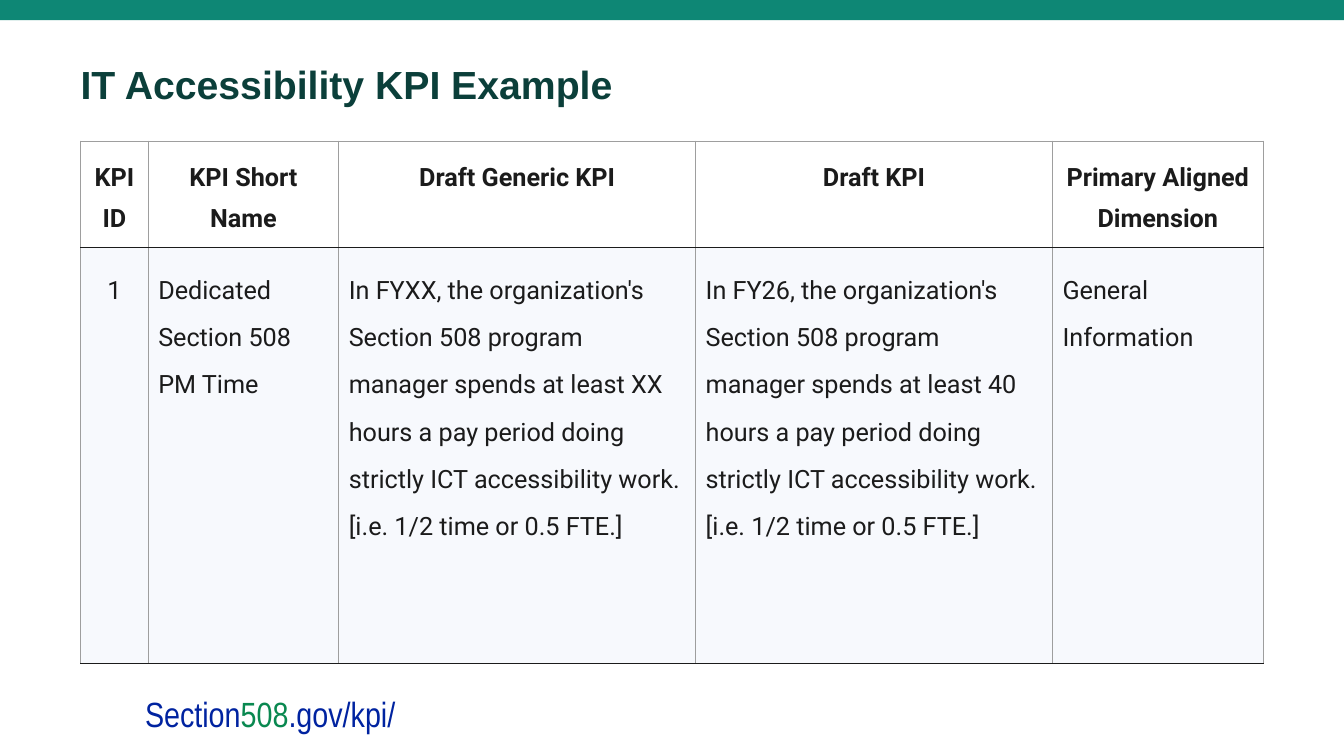
from lxml.etree import SubElement
from pptx import Presentation
from pptx.dml.color import RGBColor
from pptx.enum.shapes import MSO_SHAPE as Shape
from pptx.enum.text import MSO_ANCHOR as Anchor, PP_ALIGN as Align
from pptx.oxml.ns import qn
from pptx.util import Inches, Pt

WIDTH, HEIGHT = 13.33, 7.5
MARGIN = 0.8
TEAL = RGBColor(0x0E, 0x87, 0x75)
DARK_TEAL = RGBColor(0x0B, 0x3F, 0x3A)
INK = RGBColor(0x1B, 0x1B, 0x1B)
GRAY = RGBColor(0x9E, 0x9E, 0x9E)
PALE_BLUE = RGBColor(0xF7, 0xF9, 0xFD)
LINK_BLUE = RGBColor(0x00, 0x23, 0xA0)
LINK_GREEN = RGBColor(0x09, 0x88, 0x50)

COLUMNS = [0.67, 1.89, 3.54, 3.54, 2.09]
ROWS = [1.06, 4.12]
GOAL = ("In {}, the organization's Section 508 program manager spends at least {} hours "
        "a pay period doing strictly ICT accessibility work. [i.e. 1/2 time or 0.5 FTE.]")
HEADINGS = ["KPI ID", "KPI Short Name", "Draft Generic KPI", "Draft KPI",
            "Primary Aligned Dimension"]
KPI = ["1", "Dedicated Section 508 PM Time", GOAL.format("FYXX", "XX"),
       GOAL.format("FY26", "40"), "General Information"]


def add_run(paragraph, text, font, size, color, bold=False):
    run = paragraph.add_run()
    run.text = text
    run.font.name = font
    run.font.size = Pt(size)
    run.font.bold = bold
    run.font.color.rgb = color


def add_line(slide, box, insets, anchor, pieces, spacing=1.0):
    frame = slide.shapes.add_textbox(*map(Inches, box)).text_frame
    frame.word_wrap = True
    frame.vertical_anchor = anchor
    (frame.margin_left, frame.margin_top,
     frame.margin_right, frame.margin_bottom) = map(Inches, insets)
    line = frame.paragraphs[0]
    line.line_spacing = spacing
    for piece in pieces:
        add_run(line, *piece)


def add_band(slide):
    band = slide.shapes.add_shape(Shape.RECTANGLE, 0, 0, Inches(WIDTH), Inches(0.2))
    band.shadow.inherit = False
    band.fill.solid()
    band.fill.fore_color.rgb = TEAL
    band.line.fill.background()


def set_border(cell, side, color, points):
    border = SubElement(cell._tc.get_or_add_tcPr(), qn(f"a:{side}"), w=str(Pt(points)))
    fill = SubElement(border, qn("a:solidFill"))
    SubElement(fill, qn("a:srgbClr"), val=str(color))


def fill_cell(cell, text, heading, centered):
    for side in ("lnL", "lnR"):
        set_border(cell, side, GRAY, 0.75)
    set_border(cell, "lnT", *((GRAY, 0.75) if heading else (INK, 0.83)))
    set_border(cell, "lnB", INK, 0.83)
    if heading:
        cell.fill.background()
    else:
        cell.fill.solid()
        cell.fill.fore_color.rgb = PALE_BLUE
    cell.margin_left = cell.margin_right = Inches(0.1)
    cell.margin_top = cell.margin_bottom = Inches(0.1)
    entry = cell.text_frame.paragraphs[0]
    entry.alignment = Align.CENTER if centered else Align.LEFT
    entry.line_spacing = 1.4 if heading else 1.6
    add_run(entry, text, "Roboto", 18, INK, heading)


def add_kpi_table(slide):
    area = (MARGIN, 1.4, sum(COLUMNS), sum(ROWS))
    table = slide.shapes.add_table(len(ROWS), len(COLUMNS), *map(Inches, area)).table
    table.first_row = True
    table.horz_banding = False
    for column, width in zip(table.columns, COLUMNS):
        column.width = Inches(width)
    for row, height in zip(table.rows, ROWS):
        row.height = Inches(height)
    for r, entries in enumerate((HEADINGS, KPI)):
        for c, text in enumerate(entries):
            fill_cell(table.cell(r, c), text, r == 0, r == 0 or c == 0)


def main():
    deck = Presentation()
    deck.slide_width, deck.slide_height = Inches(WIDTH), Inches(HEIGHT)
    slide = deck.slides.add_slide(deck.slide_layouts[6])
    add_band(slide)
    add_line(slide, (MARGIN, 0.6, WIDTH - 2 * MARGIN, 0.47), (0, 0.05, 0, 0), Anchor.TOP,
             [("IT Accessibility KPI Example", "Arial", 28, DARK_TEAL, True)], 0.9)
    add_kpi_table(slide)
    address = [("Section", LINK_BLUE), ("508", LINK_GREEN), (".gov/kpi/", LINK_BLUE)]
    add_line(slide, (1.34, 6.81, 11.18, 0.54), [0.1] * 4, Anchor.MIDDLE,
             [(text, "Arial Narrow", 25, color) for text, color in address])
    deck.save("out.pptx")


if __name__ == "__main__":
    main()
